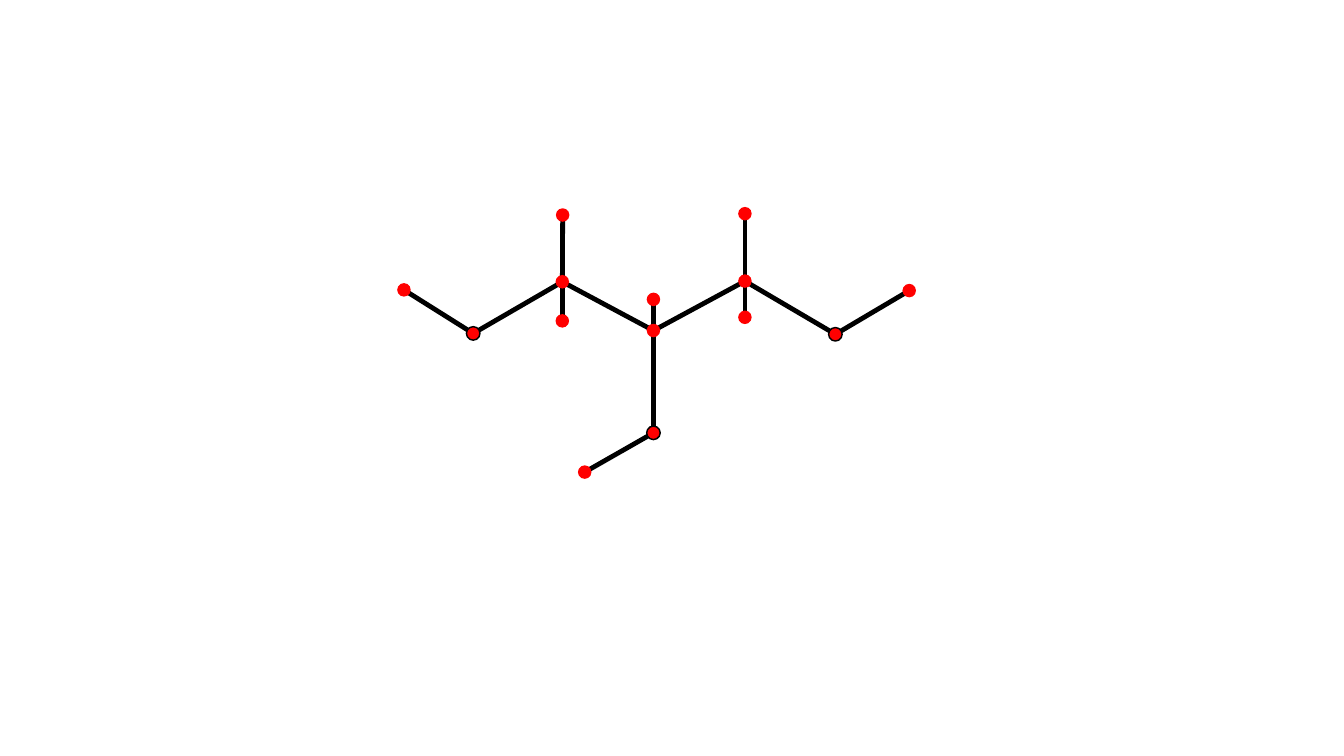
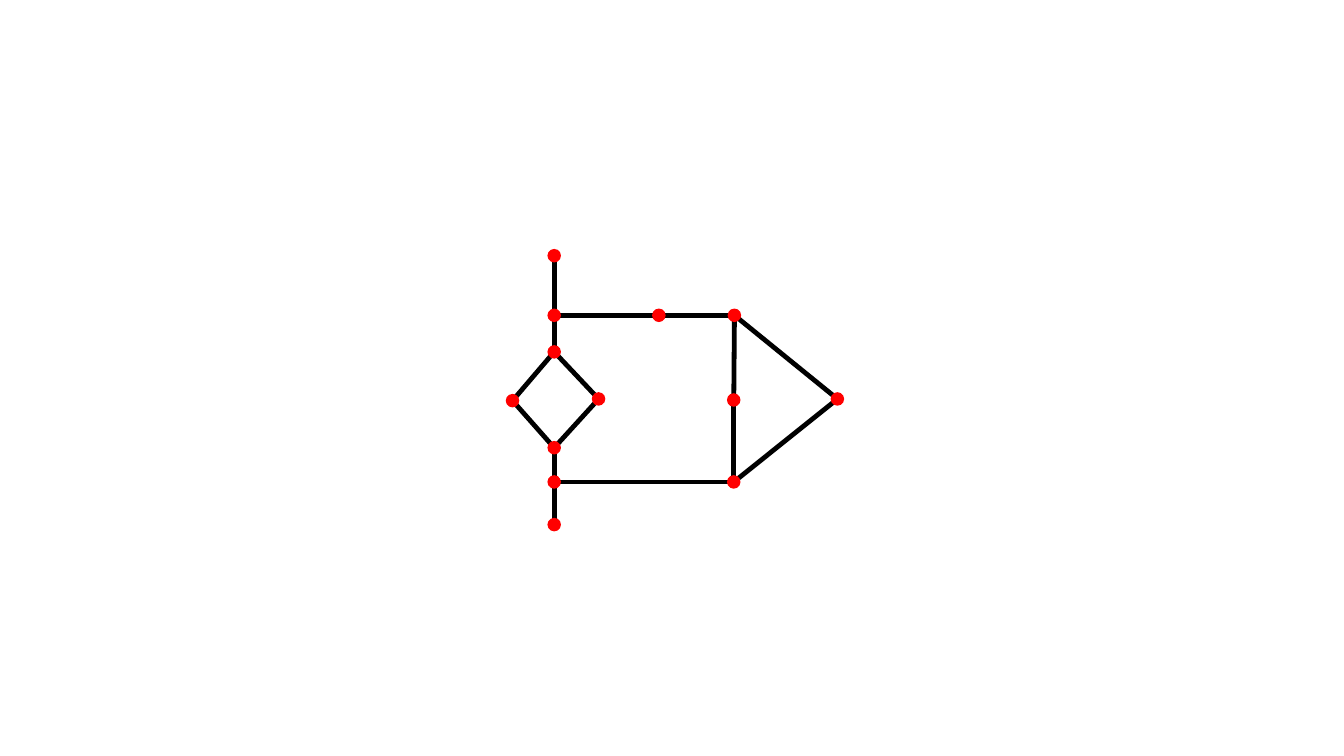
"""Draws two node-and-edge skeletons, one per slide."""
from lxml.etree import SubElement
from pptx import Presentation
from pptx.dml.color import RGBColor
from pptx.enum.shapes import MSO_CONNECTOR as Link, MSO_SHAPE as Preset
from pptx.oxml.ns import qn
from pptx.util import Pt

BLACK = RGBColor(0x00, 0x00, 0x00)
RED = RGBColor(0xFF, 0x00, 0x00)
DOT = 8
EDGE_WIDTH = 2.83
OUTLINE_WIDTH = 0.85

CHAIN = {
    "nodes": {
        "left end": (238.5, 171.2),
        "left bend": (279.4, 196.9),
        "left branch": (332, 166.4),
        "left top": (332.2, 127),
        "left bottom": (332, 189.5),
        "centre": (385.8, 195.2),
        "centre top": (385.8, 176.8),
        "centre foot": (385.8, 255.6),
        "foot end": (345.2, 278.8),
        "right branch": (439.8, 166),
        "right top": (439.8, 126.2),
        "right bottom": (439.8, 187.4),
        "right bend": (493.2, 197.4),
        "right end": (536.8, 171.6),
    },
    "edges": [
        ("left end", "left bend"),
        ("left bend", "left branch"),
        ("left branch", "left top"),
        ("left branch", "left bottom"),
        ("left branch", "centre"),
        ("centre", "centre top"),
        ("centre", "centre foot"),
        ("centre foot", "foot end"),
        ("centre", "right branch"),
        ("right branch", "right top"),
        ("right branch", "right bottom"),
        ("right branch", "right bend"),
        ("right bend", "right end"),
    ],
    "outlined": {"left bend", "centre foot", "right bend"},
}

RINGS = {
    "nodes": {
        "top end": (327.2, 151),
        "top joint": (327.2, 186.2),
        "diamond top": (327.2, 207.8),
        "diamond left": (302.6, 236.6),
        "diamond right": (353.4, 235.6),
        "diamond bottom": (327.2, 264.4),
        "bottom joint": (327.2, 284.6),
        "bottom end": (327.2, 309.8),
        "upper middle": (389, 186.2),
        "upper corner": (433.6, 186.2),
        "side middle": (433.2, 236.2),
        "lower corner": (433.2, 284.6),
        "tip": (494.4, 235.6),
    },
    "edges": [
        ("top end", "top joint"),
        ("top joint", "diamond top"),
        ("diamond top", "diamond left"),
        ("diamond top", "diamond right"),
        ("diamond left", "diamond bottom"),
        ("diamond right", "diamond bottom"),
        ("diamond bottom", "bottom joint"),
        ("bottom joint", "bottom end"),
        ("top joint", "upper middle"),
        ("upper middle", "upper corner"),
        ("upper corner", "side middle"),
        ("side middle", "lower corner"),
        ("bottom joint", "lower corner"),
        ("upper corner", "tip"),
        ("lower corner", "tip"),
    ],
    "outlined": set(),
}


def draw_edge(slide, start, end):
    ends = [Pt(value) for value in (*start, *end)]
    edge = slide.shapes.add_connector(Link.STRAIGHT, *ends)
    edge.line.color.rgb = BLACK
    edge.line.width = Pt(EDGE_WIDTH)
    SubElement(edge._element.spPr, qn("a:effectLst"))


def draw_node(slide, centre, outlined):
    left, top = (Pt(value - DOT / 2) for value in centre)
    node = slide.shapes.add_shape(Preset.OVAL, left, top, Pt(DOT), Pt(DOT))
    node.shadow.inherit = False
    node.fill.solid()
    node.fill.fore_color.rgb = RED
    if outlined:
        node.line.color.rgb = BLACK
        node.line.width = Pt(OUTLINE_WIDTH)
    else:
        node.line.fill.background()


def draw_graph(slide, graph):
    nodes = graph["nodes"]
    for start, end in graph["edges"]:
        draw_edge(slide, nodes[start], nodes[end])
    for name, centre in nodes.items():
        draw_node(slide, centre, name in graph["outlined"])


def main():
    deck = Presentation()
    deck.slide_width, deck.slide_height = Pt(793.44), Pt(446.4)
    for graph in (CHAIN, RINGS):
        draw_graph(deck.slides.add_slide(deck.slide_layouts[6]), graph)
    deck.save("out.pptx")


if __name__ == "__main__":
    main()
